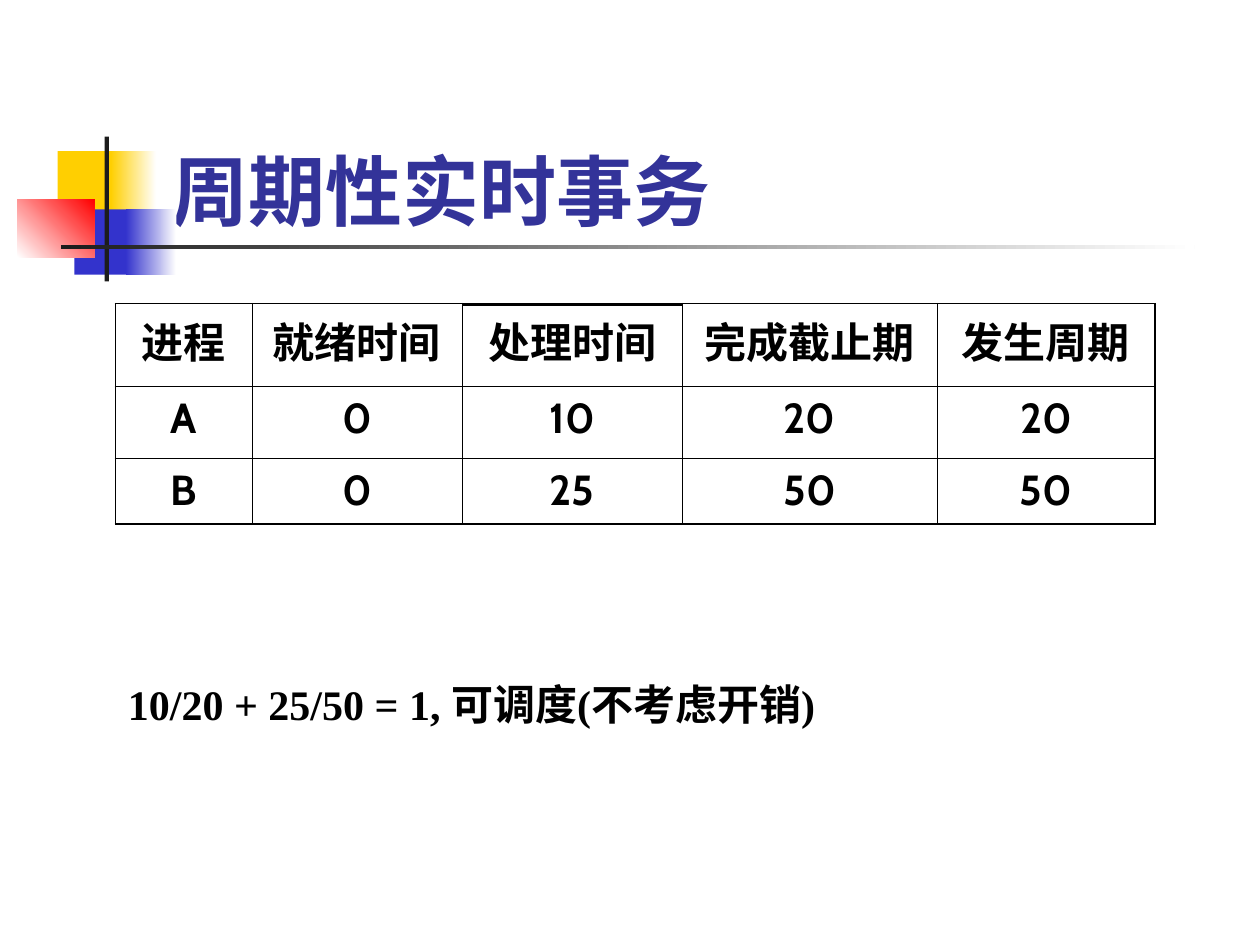
from pptx import Presentation
from pptx.dml.color import RGBColor
from pptx.enum.shapes import MSO_CONNECTOR, MSO_SHAPE
from pptx.enum.text import MSO_ANCHOR, MSO_AUTO_SIZE, PP_ALIGN
from pptx.oxml import parse_xml
from pptx.oxml.ns import nsdecls
from pptx.util import Pt


def rgb(code):
    return RGBColor.from_string(code)


def style(para, face, size, color):
    """Set a bold font on a whole paragraph."""
    para.font.name = face
    para.font.size = Pt(size)
    para.font.bold = True
    para.font.color.rgb = rgb(color)


deck = Presentation()
deck.slide_width, deck.slide_height = Pt(720), Pt(540)
slide = deck.slides.add_slide(deck.slide_layouts[5])
shapes = slide.shapes

# Corner blocks and rules: left, top, width, height, colours, angle
blocks = [
    (33, 86.4, 34.6, 37.4, ["FFCF01"], 0),
    (63.4, 86.4, 25.9, 37.4, ["FFCF01", "FFFFFF"], 0),
    (42.5, 119.6, 33.1, 37.4, ["3333CC"], 0),
    (72, 119.6, 28.8, 37.4, ["3333CC", "FFFFFF"], 0),
    (10, 113.8, 44, 33.2, ["FFFFFF", "FF0000"], 45),
    (59.8, 78, 2.5, 82.8, ["1C1C1C"], 0),
    (34.7, 140.1, 648, 2.5, ["1C1C1C", "FFFFFF"], 0),
]
for left, top, width, height, colors, angle in blocks:
    block = shapes.add_shape(MSO_SHAPE.RECTANGLE, Pt(left), Pt(top), Pt(width), Pt(height))
    block.shadow.inherit = False
    block.line.fill.background()
    if len(colors) == 1:
        block.fill.solid()
        block.fill.fore_color.rgb = rgb(colors[0])
    else:
        block.fill.gradient()
        block.fill.gradient_angle = angle
        for stop, color in zip(block.fill.gradient_stops, colors):
            stop.color.rgb = rgb(color)

# Title
title = shapes.title
title.left, title.top, title.width, title.height = Pt(90.7), Pt(48.2), Pt(613.4), Pt(90)
frame = title.text_frame
frame.text = "周期性实时事务"
frame.auto_size = MSO_AUTO_SIZE.NONE
frame.vertical_anchor = MSO_ANCHOR.BOTTOM
frame.paragraphs[0].alignment = PP_ALIGN.LEFT
style(frame.paragraphs[0], "Cabin", 44, "333399")

# Process table
rows = [
    ["进程", "就绪时间", "处理时间", "完成截止期", "发生周期"],
    ["A", "0", "10", "20", "20"],
    ["B", "0", "25", "50", "50"],
]
widths = [78, 120, 126, 145.5, 124.5]
heights = [47.5, 41.2, 37.3]
thin, thick = Pt(0.45), Pt(1.08)
table = shapes.add_table(len(rows), len(widths), Pt(66), Pt(173.5),
                         Pt(sum(widths)), Pt(sum(heights))).table
table.first_row = table.horz_banding = False
for col, width in zip(table.columns, widths):
    col.width = Pt(width)
for row, height in zip(table.rows, heights):
    row.height = Pt(height)
for r, row in enumerate(rows):
    for c, text in enumerate(row):
        cell = table.cell(r, c)
        cell.text = text
        para = cell.text_frame.paragraphs[0]
        para.alignment = PP_ALIGN.CENTER
        para.space_before = Pt(6)
        style(para, "Cabin", 24, "000000")
        outer = {"L": c == 0, "R": c == len(widths) - 1,
                 "T": r == 0, "B": r == len(rows) - 1}
        props = cell._tc.get_or_add_tcPr()
        for side, edge in outer.items():
            props.append(parse_xml(
                f'<a:ln{side} {nsdecls("a")} w="{thick if edge else thin}"><a:solidFill>'
                f'<a:srgbClr val="000000"/></a:solidFill></a:ln{side}>'))
        cell.fill.background()

# Conclusion
note = shapes.add_textbox(Pt(66), Pt(384), Pt(450), Pt(36)).text_frame
note.word_wrap = True
note.auto_size = MSO_AUTO_SIZE.SHAPE_TO_FIT_TEXT
note.text = "10/20 + 25/50 = 1, 可调度(不考虑开销)"
note.paragraphs[0].space_before = Pt(15)
style(note.paragraphs[0], "Times New Roman", 24, "000000")

# Heavy rule over the processing time column
start = 66 + sum(widths[:2])
rule = shapes.add_connector(MSO_CONNECTOR.STRAIGHT, Pt(start), Pt(174),
                            Pt(start + widths[2]), Pt(174))
rule.line.color.rgb = rgb("000000")
rule.line.width = Pt(2.25)
rule._element.spPr.append(parse_xml(f'<a:effectLst {nsdecls("a")}/>'))

deck.save("out.pptx")
